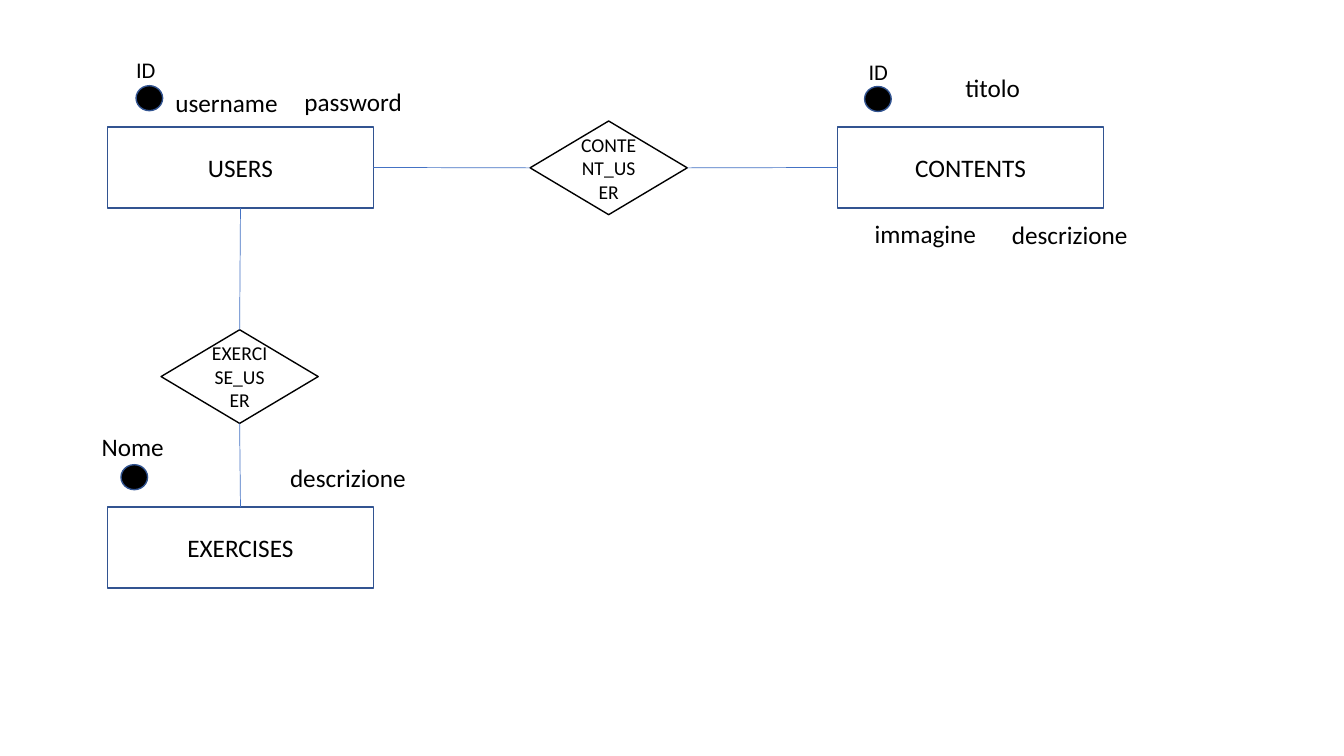
"""Build an entity-relationship diagram of users, contents and exercises."""
from lxml import etree
from pptx import Presentation
from pptx.dml.color import RGBColor
from pptx.enum.shapes import MSO_CONNECTOR, MSO_SHAPE
from pptx.enum.text import MSO_ANCHOR, MSO_AUTO_SIZE, PP_ALIGN
from pptx.oxml.ns import qn
from pptx.util import Cm, Pt

RECTANGLE, DIAMOND, OVAL = MSO_SHAPE.RECTANGLE, MSO_SHAPE.DIAMOND, MSO_SHAPE.OVAL
STRAIGHT = MSO_CONNECTOR.STRAIGHT
MIDDLE, CENTER, LEFT_ALIGN = MSO_ANCHOR.MIDDLE, PP_ALIGN.CENTER, PP_ALIGN.LEFT
GROW = MSO_AUTO_SIZE.SHAPE_TO_FIT_TEXT
TOP, LEFT, BOTTOM, RIGHT = range(4)
WHITE = RGBColor(0xFF, 0xFF, 0xFF)
BLACK = RGBColor(0, 0, 0)
NAVY = RGBColor(0x32, 0x54, 0x91)
BLUE = RGBColor(0x44, 0x72, 0xC4)

STYLES = {
    "entity": dict(kind=RECTANGLE, size=(6.7, 2.04), fill=WHITE, line=NAVY, font=18),
    "relation": dict(kind=DIAMOND, size=(3.96, 2.36), fill=WHITE, line=BLACK, font=14),
    "key": dict(kind=OVAL, size=(0.67, 0.63), fill=BLACK, line=NAVY, font=18),
}

presentation = Presentation()
presentation.slide_width, presentation.slide_height = Cm(33.87), Cm(19.05)
slide = presentation.slides.add_slide(presentation.slide_layouts[6])


def write(shape, text, size, alignment):
    """Put one formatted line of text in a shape."""
    shape.text_frame.word_wrap = True
    paragraph = shape.text_frame.paragraphs[0]
    paragraph.alignment = alignment
    run = paragraph.add_run()
    run.text = text
    for name, value in dict(name="Calibri", size=Pt(size)).items():
        setattr(run.font, name, value)
    run.font.color.rgb = BLACK


def add_node(style_name, left, top, text=""):
    """Draw an entity, a relation or a key dot."""
    style = STYLES[style_name]
    width, height = style["size"]
    shape = slide.shapes.add_shape(style["kind"], Cm(left), Cm(top), Cm(width), Cm(height))
    shape.shadow.inherit = False
    shape.fill.solid()
    shape.fill.fore_color.rgb = style["fill"]
    shape.line.color.rgb = style["line"]
    shape.line.width = Pt(1)
    if text:
        shape.text_frame.vertical_anchor = MIDDLE
        write(shape, text, style["font"], CENTER)
    return shape


users = add_node("entity", 2.71, 3.2, "USERS")
contents = add_node("entity", 21.11, 3.2, "CONTENTS")
exercises = add_node("entity", 2.71, 12.78, "EXERCISES")
content_user = add_node("relation", 13.36, 3.05, "CONTENT_USER")
exercise_user = add_node("relation", 4.06, 8.31, "EXERCISE_USER")

for entity, entity_side, relation, relation_side in (
    (users, RIGHT, content_user, LEFT),
    (contents, LEFT, content_user, RIGHT),
    (users, BOTTOM, exercise_user, TOP),
    (exercises, TOP, exercise_user, BOTTOM),
):
    connector = slide.shapes.add_connector(STRAIGHT, 0, 0, 0, 0)
    connector.begin_connect(entity, entity_side)
    connector.end_connect(relation, relation_side)
    connector.line.color.rgb = BLUE
    connector.line.width = Pt(0.5)
    etree.SubElement(connector._element.spPr, qn("a:effectLst"))

for left, top in ((3.43, 2.16), (3.05, 11.71), (21.79, 2.18)):
    add_node("key", left, top)

for text, left, top, width, height, size in (
    ("ID", 3.18, 1.3, 1.04, 0.94, 16),
    ("username", 4.17, 2.08, 3.45, 1.02, 18),
    ("password", 7.42, 2.06, 3.1, 1.02, 18),
    ("ID", 21.64, 1.35, 1.04, 0.94, 16),
    ("titolo", 24.08, 1.7, 3.45, 1.02, 18),
    ("immagine", 21.79, 5.38, 3.45, 1.02, 18),
    ("descrizione", 25.25, 5.41, 3.45, 1.02, 18),
    ("Nome ", 2.31, 10.74, 3.45, 1.02, 18),
    ("descrizione", 7.06, 11.53, 3.45, 1.02, 18),
):
    label = slide.shapes.add_textbox(Cm(left), Cm(top), Cm(width), Cm(height))
    label.text_frame.auto_size = GROW
    write(label, text, size, LEFT_ALIGN)

presentation.save("out.pptx")
